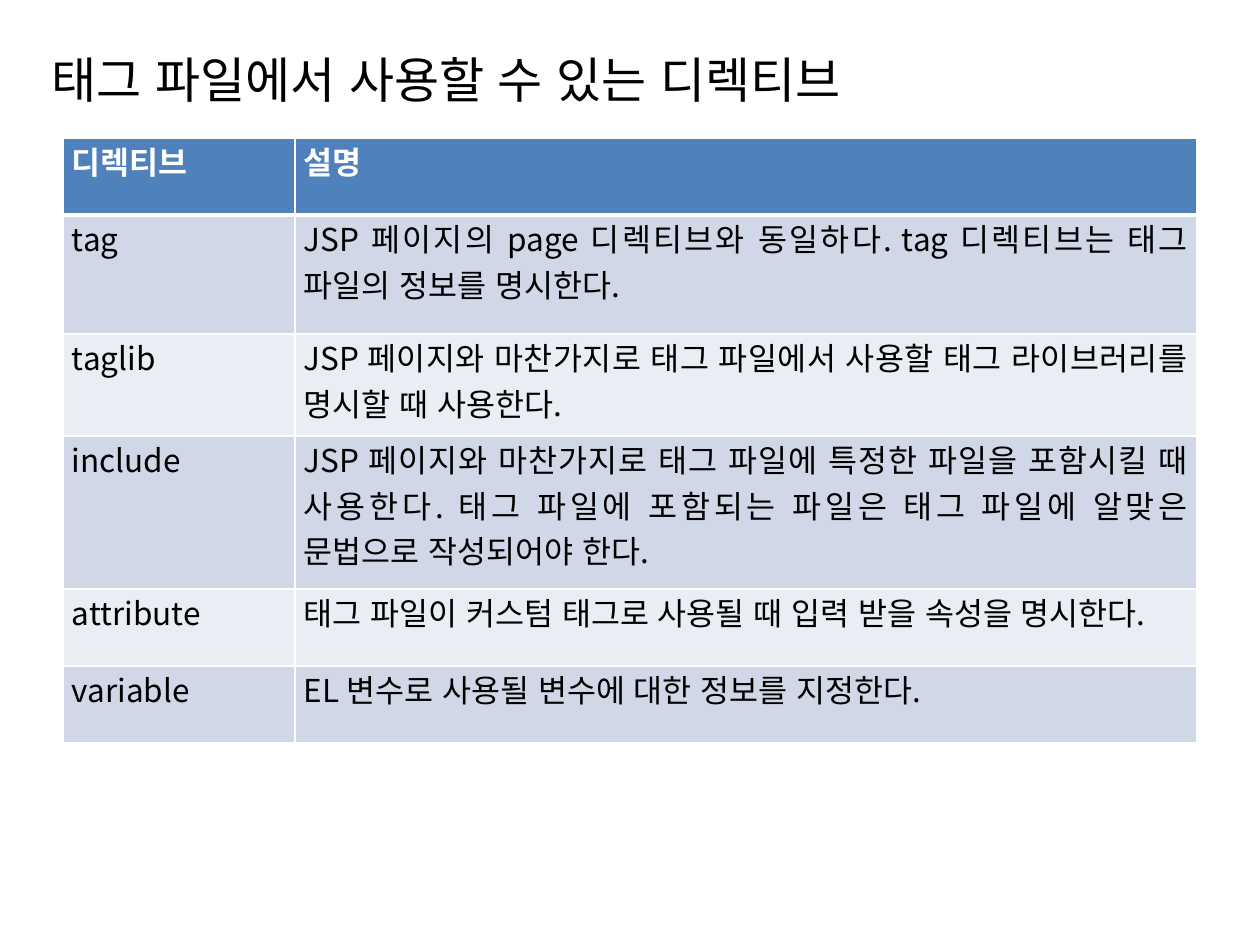
from dataclasses import dataclass

from lxml import etree
from pptx import Presentation
from pptx.dml.color import RGBColor
from pptx.enum.lang import MSO_LANGUAGE_ID
from pptx.enum.text import MSO_ANCHOR, PP_ALIGN
from pptx.oxml.ns import qn
from pptx.util import Emu, Pt


@dataclass(frozen=True)
class Theme:
    font: str = "Noto Sans CJK KR"
    title_size: int = 28
    cell_size: int = 18
    text: str = "000000"
    white: str = "FFFFFF"
    header: str = "4F81BD"
    bands: tuple[str, str] = ("D0D8E8", "E9EDF4")


@dataclass(frozen=True)
class Row:
    directive: str
    description: str
    height: int


THEME = Theme()
EMU_PER_PIXEL = 914400 / 126
COLUMN_WIDTHS = (232, 902)
ROWS = (
    Row("디렉티브", "설명", 77),
    Row("tag", "JSP 페이지의 page 디렉티브와 동일하다. tag 디렉티브는 태그 파일의 정보를 명시한다.", 119),
    Row("taglib", "JSP 페이지와 마찬가지로 태그 파일에서 사용할 태그 라이브러리를 명시할 때 사용한다.", 102),
    Row("include", "JSP 페이지와 마찬가지로 태그 파일에 특정한 파일을 포함시킬 때 사용한다. "
        "태그 파일에 포함되는 파일은 태그 파일에 알맞은 문법으로 작성되어야 한다.", 153),
    Row("attribute", "태그 파일이 커스텀 태그로 사용될 때 입력 받을 속성을 명시한다.", 77),
    Row("variable", "EL 변수로 사용될 변수에 대한 정보를 지정한다.", 77),
)


def px(pixels: int) -> Emu:
    return Emu(round(pixels * EMU_PER_PIXEL))


def write(frame, text: str, size: int, color: str, align, bold: bool = False) -> None:
    paragraph = frame.paragraphs[0]
    paragraph.alignment = align
    run = paragraph.add_run()
    run.text = text
    font = run.font
    font.name, font.size, font.bold = THEME.font, Pt(size), bold
    font.language_id = MSO_LANGUAGE_ID.KOREAN
    font.color.rgb = RGBColor.from_string(color)
    etree.SubElement(run._r.get_or_add_rPr(), qn("a:ea"), typeface=THEME.font)


def set_borders(cell, widths: dict[str, int]) -> None:
    properties = cell._tc.get_or_add_tcPr()
    for index, (side, width) in enumerate(widths.items()):
        line = etree.Element(qn(f"a:ln{side}"), w=str(Pt(width)))
        fill = etree.SubElement(line, qn("a:solidFill"))
        etree.SubElement(fill, qn("a:srgbClr"), val=THEME.white)
        properties.insert(index, line)


def add_title(slide, text: str) -> None:
    title = slide.shapes.title
    title.left, title.top, title.width, title.height = map(px, (39, 38, 1191, 81))
    title.text_frame.vertical_anchor = MSO_ANCHOR.MIDDLE
    write(title.text_frame, text, THEME.title_size, THEME.text, PP_ALIGN.LEFT)


def fill_cell(cell, text: str, row_index: int) -> None:
    is_header = row_index == 0
    cell.margin_left = cell.margin_right = px(9)
    cell.margin_top = cell.margin_bottom = 0
    cell.fill.solid()
    background = THEME.header if is_header else THEME.bands[(row_index - 1) % 2]
    cell.fill.fore_color.rgb = RGBColor.from_string(background)
    color = THEME.white if is_header else THEME.text
    write(cell.text_frame, text, THEME.cell_size, color, PP_ALIGN.JUSTIFY, is_header)
    top = 3 if row_index == 1 else 1
    bottom = 3 if is_header else 1
    set_borders(cell, {"L": 1, "R": 1, "T": top, "B": bottom})


def add_directive_table(slide, rows: tuple[Row, ...]) -> None:
    width, height = sum(COLUMN_WIDTHS), sum(row.height for row in rows)
    table = slide.shapes.add_table(
        len(rows), len(COLUMN_WIDTHS), px(63), px(138), px(width), px(height)
    ).table
    for column, column_width in zip(table.columns, COLUMN_WIDTHS):
        column.width = px(column_width)
    for row_index, row in enumerate(rows):
        table.rows[row_index].height = px(row.height)
        for column_index, text in enumerate((row.directive, row.description)):
            fill_cell(table.cell(row_index, column_index), text, row_index)


def main() -> None:
    presentation = Presentation()
    presentation.slide_width, presentation.slide_height = px(1260), px(945)
    slide = presentation.slides.add_slide(presentation.slide_layouts[5])
    add_title(slide, "태그 파일에서 사용할 수 있는 디렉티브")
    add_directive_table(slide, ROWS)
    presentation.save("out.pptx")


main()
